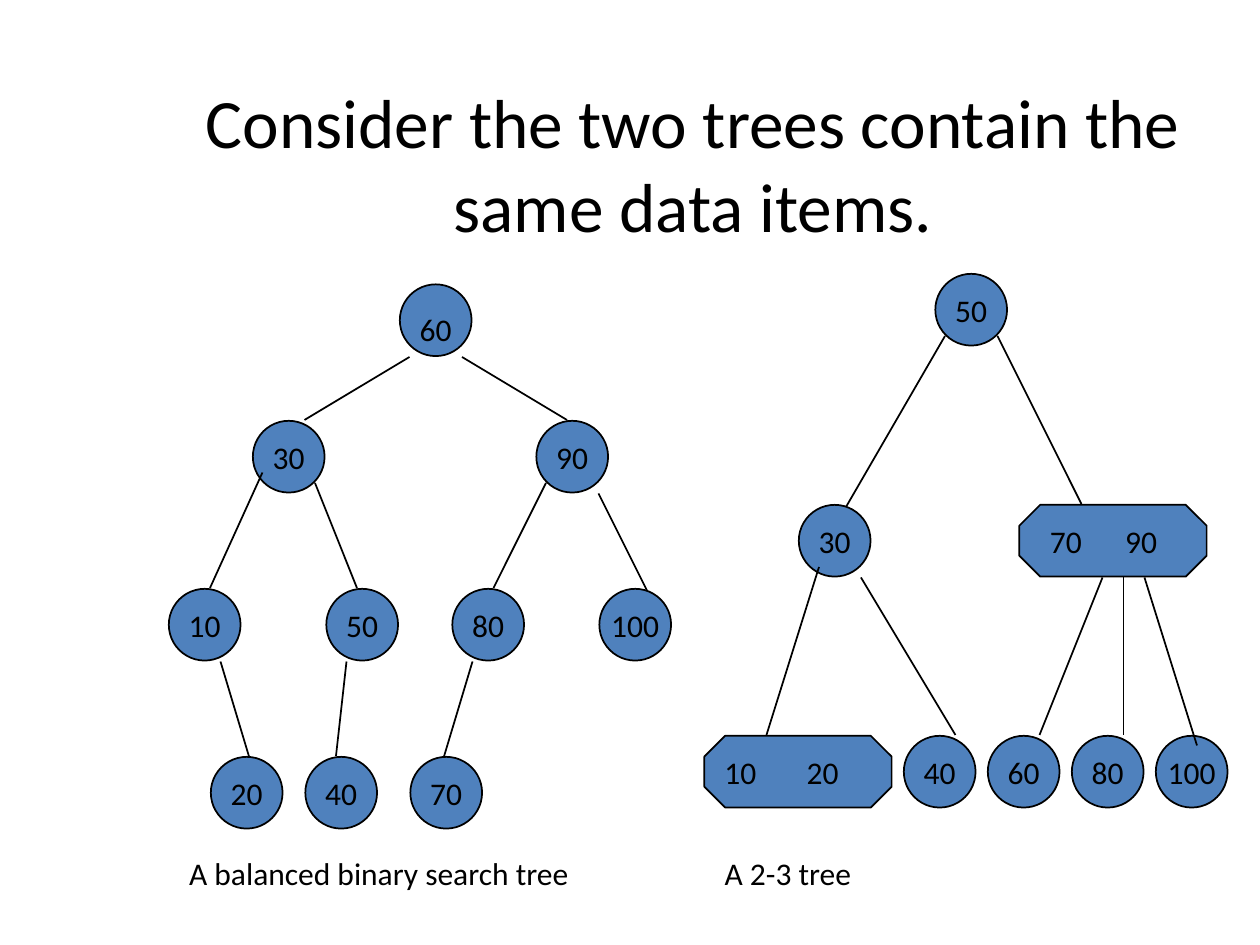
from dataclasses import dataclass
from lxml.etree import SubElement
from pptx import Presentation
from pptx.dml.color import RGBColor
from pptx.enum.shapes import MSO_CONNECTOR, MSO_SHAPE
from pptx.enum.text import MSO_ANCHOR, MSO_AUTO_SIZE, PP_ALIGN
from pptx.oxml.ns import qn
from pptx.util import Pt


@dataclass(frozen=True)
class Theme:
    font: str = "Calibri"
    ink: RGBColor = RGBColor(0, 0, 0)
    fill: RGBColor = RGBColor(0x4F, 0x81, 0xBD)
    head: float = 39.6
    body: float = 18


THEME = Theme()
SIZE = 41  # height of every node
WIDE = 107  # width of a node with two keys

# Each node: key, left, top, edge from its parent (x1, y1, x2, y2)
BINARY = [
    ("30", 144.5, 240.5, (234, 204, 174, 240)),
    ("90", 306.5, 240.5, (264, 204, 324, 240)),
    ("10", 96.5, 336.5, (150, 270, 120, 336)),
    ("50", 186.5, 336.5, (180, 276, 204, 336)),
    ("20", 120.5, 432.5, (126, 378, 144, 438)),
    ("40", 174.5, 432.5, (198, 378, 192, 432)),
    ("80", 258.5, 336.5, (312, 276, 282, 336)),
    ("70", 234.5, 432.5, (270, 378, 252, 438)),
    ("100", 342.5, 336.5, (342, 282, 372, 342)),
]
LEAVES = [
    ("40", (492, 330, 546, 420)),
    ("60", (630, 330, 594, 420)),
    ("80", (642, 330, 642, 420)),
]
LEAF_X, LEAF_Y, LEAF_GAP = 516.5, 420.5, 48


def style(frame, size, align):
    for para in frame.paragraphs:
        para.alignment = align
        for run in para.runs:
            run.font.name = THEME.font
            run.font.size = Pt(size)
            run.font.color.rgb = THEME.ink


def add_title(slide, text):
    title = slide.shapes.title
    title.left, title.top, title.width, title.height = map(Pt, (90, 48, 612, 90))
    frame = title.text_frame
    frame.text = text
    frame.auto_size = MSO_AUTO_SIZE.NONE
    frame.vertical_anchor = MSO_ANCHOR.MIDDLE
    style(frame, THEME.head, PP_ALIGN.CENTER)


def add_shape(slide, kind, left, top, width, text, align):
    shape = slide.shapes.add_shape(kind, Pt(left), Pt(top), Pt(width), Pt(SIZE))
    shape.shadow.inherit = False
    shape.fill.solid()
    shape.fill.fore_color.rgb = THEME.fill
    shape.line.color.rgb = THEME.ink
    shape.line.width = Pt(1)
    frame = shape.text_frame
    frame.text = text
    frame.word_wrap = False
    frame.vertical_anchor = MSO_ANCHOR.MIDDLE
    style(frame, THEME.body, align)
    return shape


def add_node(slide, key, left, top):
    return add_shape(slide, MSO_SHAPE.OVAL, left, top, SIZE, key, PP_ALIGN.CENTER)


def add_pair(slide, keys, left, top, inset, tab):
    """Draw a node with two keys, the second one at a tab stop."""
    shape = add_shape(slide, MSO_SHAPE.OCTAGON, left, top, WIDE,
                      "\t".join(keys), PP_ALIGN.LEFT)
    shape.adjustments[0] = 0.29
    frame = shape.text_frame
    frame.word_wrap = True
    frame.margin_left, frame.margin_right = Pt(inset), 0
    props = frame.paragraphs[0]._p.get_or_add_pPr()
    stops = SubElement(props, qn("a:tabLst"))
    SubElement(stops, qn("a:tab"), pos=str(Pt(tab)), algn="l")


def add_edge(slide, ends):
    line = slide.shapes.add_connector(MSO_CONNECTOR.STRAIGHT, *map(Pt, ends))
    line.line.color.rgb = THEME.ink
    line.line.width = Pt(1)
    SubElement(line._element.spPr, qn("a:effectLst"))


def add_label(slide, text, left, top, width):
    box = slide.shapes.add_textbox(Pt(left), Pt(top), Pt(width), Pt(36))
    frame = box.text_frame
    frame.text = text
    frame.word_wrap = False
    style(frame, THEME.body, PP_ALIGN.LEFT)


def draw_binary(slide):
    root = add_node(slide, "60", 228.5, 162.5)
    root.text_frame.margin_top = Pt(13)
    for key, left, top, edge in BINARY:
        add_edge(slide, edge)
        add_node(slide, key, left, top)
    add_label(slide, "A balanced binary search tree", 101, 484.5, 300)


def draw_two_three(slide):
    add_node(slide, "50", 534.5, 156.5)
    add_edge(slide, (540, 192, 474, 306))
    add_node(slide, "30", 456.5, 288.5)
    add_edge(slide, (570, 192, 618, 288))
    add_pair(slide, ("70", "90"), 582.5, 288.5, 11.5, 43)
    add_edge(slide, (468, 324, 438, 420))
    add_pair(slide, ("10", "20"), 402.5, LEAF_Y, 5.5, 47)
    for i, (key, edge) in enumerate(LEAVES):
        add_edge(slide, edge)
        add_node(slide, key, LEAF_X + i * LEAF_GAP, LEAF_Y)
    # The last edge runs over its leaf
    add_node(slide, "100", LEAF_X + len(LEAVES) * LEAF_GAP, LEAF_Y)
    add_edge(slide, (654, 330, 684, 426))
    add_label(slide, "A 2-3 tree", 407, 484.5, 118)


def main():
    deck = Presentation()
    deck.slide_width, deck.slide_height = Pt(720), Pt(540)
    slide = deck.slides.add_slide(deck.slide_layouts[5])
    add_title(slide, "Consider the two trees contain the same data items.")
    draw_binary(slide)
    draw_two_three(slide)
    deck.save("out.pptx")


if __name__ == "__main__":
    main()
